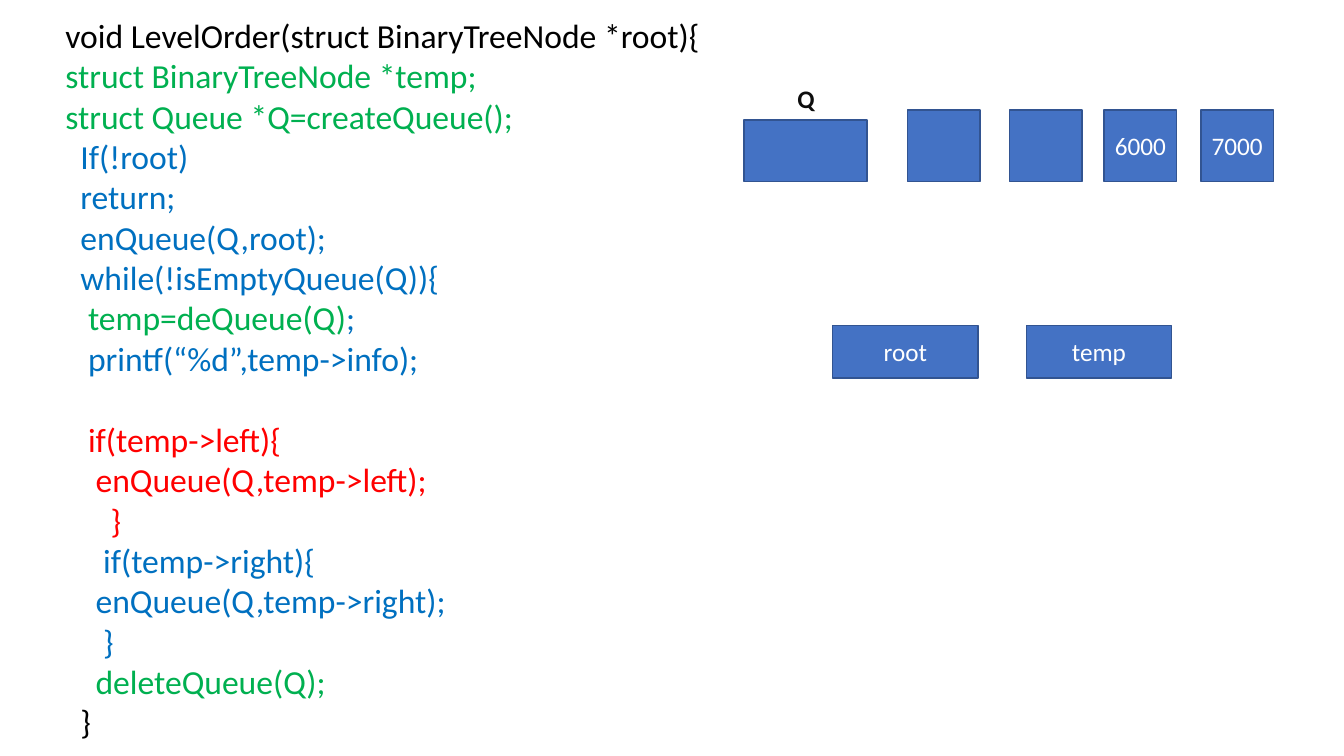
from typing import NamedTuple

from pptx import Presentation
from pptx.dml.color import RGBColor
from pptx.enum.shapes import MSO_SHAPE
from pptx.enum.text import MSO_ANCHOR, MSO_AUTO_SIZE, PP_ALIGN
from pptx.util import Inches, Pt

RECTANGLE = MSO_SHAPE.RECTANGLE
MIDDLE = MSO_ANCHOR.MIDDLE
GROW = MSO_AUTO_SIZE.SHAPE_TO_FIT_TEXT
CENTER = PP_ALIGN.CENTER

BLACK = RGBColor(0x00, 0x00, 0x00)
NEAR_BLACK = RGBColor(0x0D, 0x0D, 0x0D)
WHITE = RGBColor(0xFF, 0xFF, 0xFF)
GREEN = RGBColor(0x00, 0xB0, 0x50)
BLUE = RGBColor(0x00, 0x70, 0xC0)
RED = RGBColor(0xFF, 0x00, 0x00)
CELL_FILL = RGBColor(0x44, 0x72, 0xC4)
CELL_LINE = RGBColor(0x32, 0x54, 0x91)

FONT = "Calibri"
CODE_SIZE = 24
LABEL_SIZE = 18
INDENT_STEP = Inches(0.075)
BLANK_LINE = Pt(29.3)


class CodeLine(NamedTuple):
    """One line of code: indent in steps, colour, ending and gap above."""
    indent: int
    text: str
    color: RGBColor
    ending: str = ""
    gap: int = 0


class Cell(NamedTuple):
    """One filled rectangle, in inches, with its label."""
    left: float
    top: float
    width: float
    height: float
    label: str = ""


CODE = [
    CodeLine(0, "void LevelOrder(struct BinaryTreeNode *root){", BLACK),
    CodeLine(0, "struct BinaryTreeNode *temp;", GREEN),
    CodeLine(0, "struct Queue *Q=createQueue();", GREEN),
    CodeLine(2, "If(!root)", BLUE),
    CodeLine(2, "return;", BLUE),
    CodeLine(2, "enQueue(Q,root);", BLUE),
    CodeLine(2, "while(!isEmptyQueue(Q)){", BLUE),
    CodeLine(3, "temp=deQueue(Q)", GREEN, ending=";"),
    CodeLine(3, "printf(“%d”,temp->info);", BLUE),
    CodeLine(3, "if(temp->left){", RED, gap=BLANK_LINE),
    CodeLine(4, "enQueue(Q,temp->left);", RED),
    CodeLine(6, "}", RED),
    CodeLine(5, "if(temp->right){", BLUE),
    CodeLine(4, "enQueue(Q,temp->right);", BLUE),
    CodeLine(5, "}", BLUE),
    CodeLine(4, "deleteQueue(Q);", GREEN),
    CodeLine(2, "}", BLACK),
]

QUEUE_SLOTS = [(9, ""), (10.01, ""), (10.95, "6000"), (11.91, "7000")]
POINTERS = [(8.26, "root"), (10.18, "temp")]
CELLS = [
    Cell(7.38, 1.19, 1.22, 0.61),
    *(Cell(left, 1.09, 0.72, 0.71, label) for left, label in QUEUE_SLOTS),
    *(Cell(left, 3.23, 1.44, 0.52, label) for left, label in POINTERS),
]


def add_span(para, text: str, *, size: float, color: RGBColor,
             bold: bool = False) -> None:
    """Append formatted text to a paragraph."""
    span = para.add_run()
    span.text = text
    span.font.name = FONT
    span.font.size = Pt(size)
    span.font.bold = bold
    span.font.color.rgb = color


def add_text_frame(page, left: float, top: float, width: float,
                   height: float, *, wrap: bool):
    """Add a growing text box and return its text frame."""
    box = page.shapes.add_textbox(Inches(left), Inches(top),
                                  Inches(width), Inches(height))
    box.text_frame.word_wrap = wrap
    box.text_frame.auto_size = GROW
    return box.text_frame


def add_code(page, lines: list[CodeLine]) -> None:
    """Write the listing, one paragraph for each line."""
    frame = add_text_frame(page, 0.55, 0.1, 11.83, 7.67, wrap=True)
    for number, line in enumerate(lines):
        para = frame.add_paragraph() if number else frame.paragraphs[0]
        properties = para._p.get_or_add_pPr()
        properties.set("marL", str(line.indent * INDENT_STEP))
        properties.set("indent", "0")
        if line.gap:
            para.space_before = line.gap
        add_span(para, line.text, size=CODE_SIZE, color=line.color)
        if line.ending:
            add_span(para, line.ending, size=CODE_SIZE, color=BLUE)


def add_cell(page, cell: Cell) -> None:
    """Draw a filled rectangle with a centred label."""
    box = page.shapes.add_shape(RECTANGLE, Inches(cell.left), Inches(cell.top),
                                Inches(cell.width), Inches(cell.height))
    box.shadow.inherit = False
    box.fill.solid()
    box.fill.fore_color.rgb = CELL_FILL
    box.line.color.rgb = CELL_LINE
    box.line.width = Pt(1)
    if cell.label:
        box.text_frame.vertical_anchor = MIDDLE
        para = box.text_frame.paragraphs[0]
        para.alignment = CENTER
        add_span(para, cell.label, size=LABEL_SIZE, color=WHITE)


deck = Presentation()
deck.slide_width = Inches(13.33)
deck.slide_height = Inches(7.5)
page = deck.slides.add_slide(deck.slide_layouts[6])

add_code(page, CODE)
for cell in CELLS:
    add_cell(page, cell)
queue_name = add_text_frame(page, 7.81, 0.78, 0.37, 0.4, wrap=False)
add_span(queue_name.paragraphs[0], "Q", size=LABEL_SIZE, color=NEAR_BLACK,
         bold=True)

deck.save("out.pptx")
